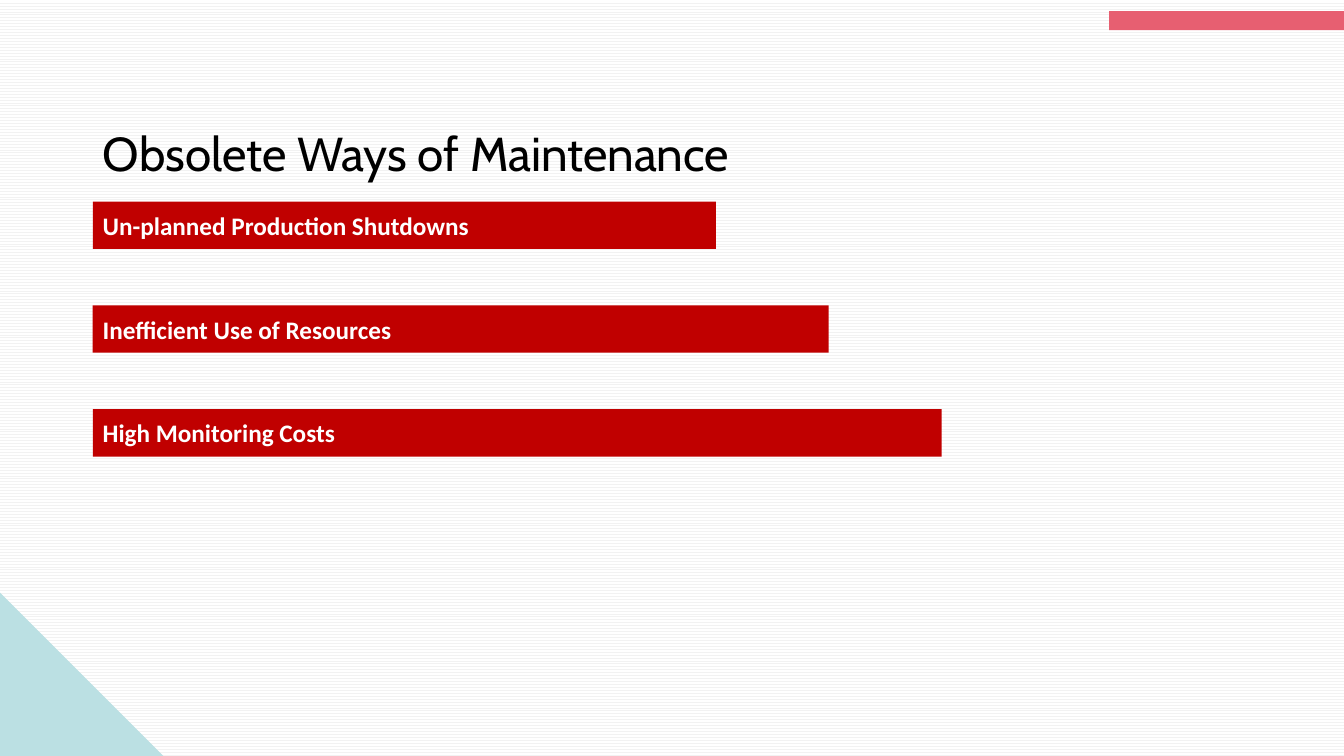
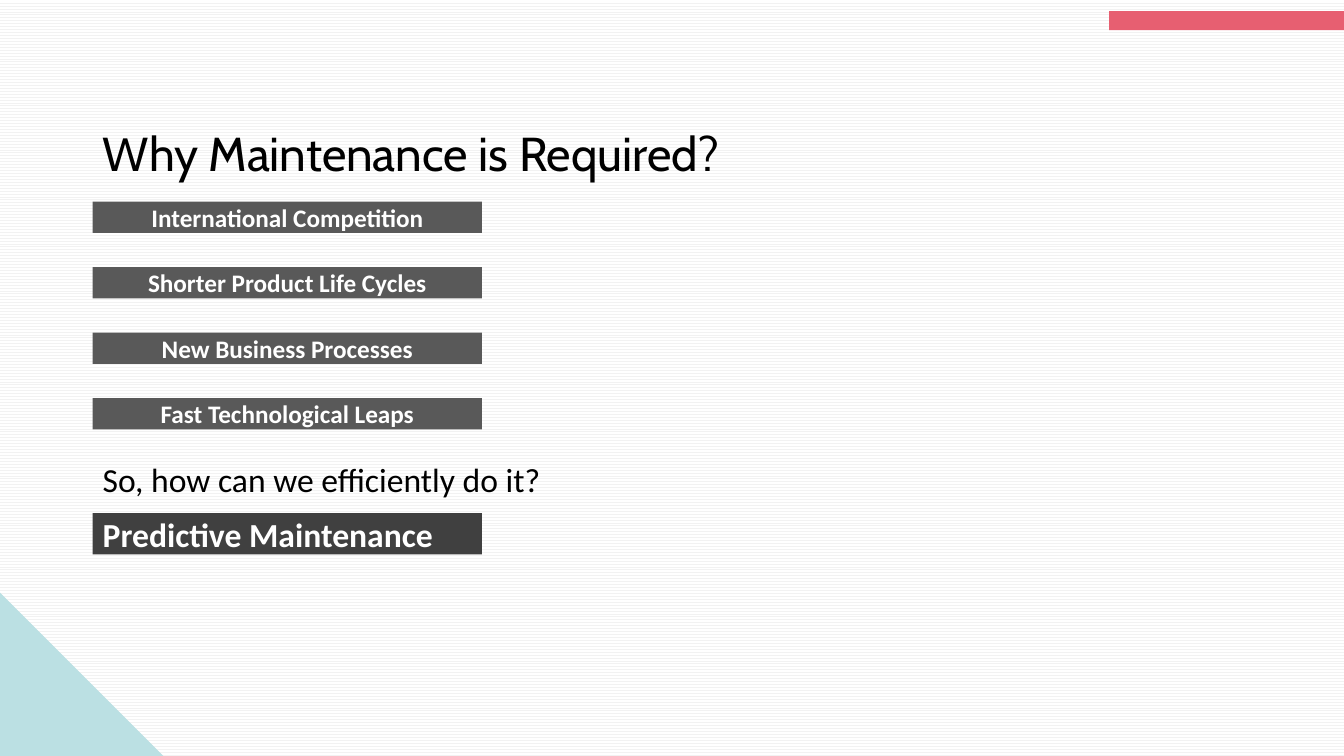
import pptx
import pptx.util
import pptx.dml.color
import pptx.enum.dml
import pptx.enum.shapes
import pptx.enum.text

In = pptx.util.Inches
SHAPE = pptx.enum.shapes.MSO_SHAPE
ALIGN = pptx.enum.text.PP_ALIGN
ANCHOR = pptx.enum.text.MSO_ANCHOR

W, H = 13.33, 7.5
LEFT, TOP = 0.92, 2
BODY_W = 11.5
CORNER = 1.62
TAB_LEFT = 11
BAR_W = 3.86


def rgb(value):
    return pptx.dml.color.RGBColor.from_string(value)


def block(s, box, fill, text="", size=18, color="FFFFFF", bold=True,
          align=ALIGN.LEFT, kind=SHAPE.RECTANGLE):
    lengths = [In(v) for v in box]
    if fill:
        sp = s.shapes.add_shape(kind, *lengths)
        sp.shadow.inherit = False
        sp.fill.solid()
        sp.fill.fore_color.rgb = rgb(fill)
        sp.line.fill.background()
    else:
        sp = s.shapes.add_textbox(*lengths)
    if text:
        tf = sp.text_frame
        tf.word_wrap = True
        tf.vertical_anchor = ANCHOR.MIDDLE
        tf.text = text
        p = tf.paragraphs[0]
        p.alignment = align
        f = p.runs[0].font
        f.name, f.size, f.bold = "Calibri", pptx.util.Pt(size), bold
        f.color.rgb = rgb(color)


prs = pptx.Presentation()
prs.slide_width, prs.slide_height = In(W), In(H)

bg = prs.slide_master.background.fill
bg.patterned()
bg.pattern = pptx.enum.dml.MSO_PATTERN.ZIG_ZAG
bg.fore_color.rgb = rgb("F2F2F2")
bg.back_color.rgb = rgb("FFFFFF")

slides = []
for title in ["Obsolete Ways of Maintenance", "Why Maintenance is Required?"]:
    s = prs.slides.add_slide(prs.slide_layouts[5])
    block(s, (0, H - CORNER, CORNER, CORNER), "BBE0E3", kind=SHAPE.RIGHT_TRIANGLE)
    block(s, (TAB_LEFT, 0.11, W - TAB_LEFT, 0.19), "E75F71")
    sp = s.shapes.title
    sp.left, sp.top, sp.width, sp.height = In(LEFT), In(0.47), In(BODY_W), In(1.38)
    tf = sp.text_frame
    tf.text = title
    tf.vertical_anchor = ANCHOR.BOTTOM
    p = tf.paragraphs[0]
    p.alignment = ALIGN.LEFT
    p.line_spacing = 0.9
    f = p.runs[0].font
    f.name, f.size = "Cabin", pptx.util.Pt(34)
    f.color.rgb = rgb("000000")
    slides.append(s)

obsolete, required = slides

problems = ["Un-planned Production Shutdowns", "Inefficient Use of Resources",
            "High Monitoring Costs"]
for i, text in enumerate(problems):
    block(obsolete, (LEFT, TOP + 1.03 * i, 6.18 + 1.12 * i, 0.47), "C00000", text)

reasons = ["International Competition", "Shorter Product Life Cycles",
           "New Business Processes", "Fast Technological Leaps"]
for i, text in enumerate(reasons):
    block(required, (LEFT, TOP + 0.65 * i, BAR_W, 0.31), "595959", text,
          align=ALIGN.CENTER)

block(required, (LEFT, 4.5, BODY_W, 0.5), None, "So, how can we efficiently do it?",
      size=24, color="000000", bold=False)
block(required, (LEFT, 5.09, BAR_W, 0.41), "404040", "Predictive Maintenance", size=24)

prs.save("out.pptx")
